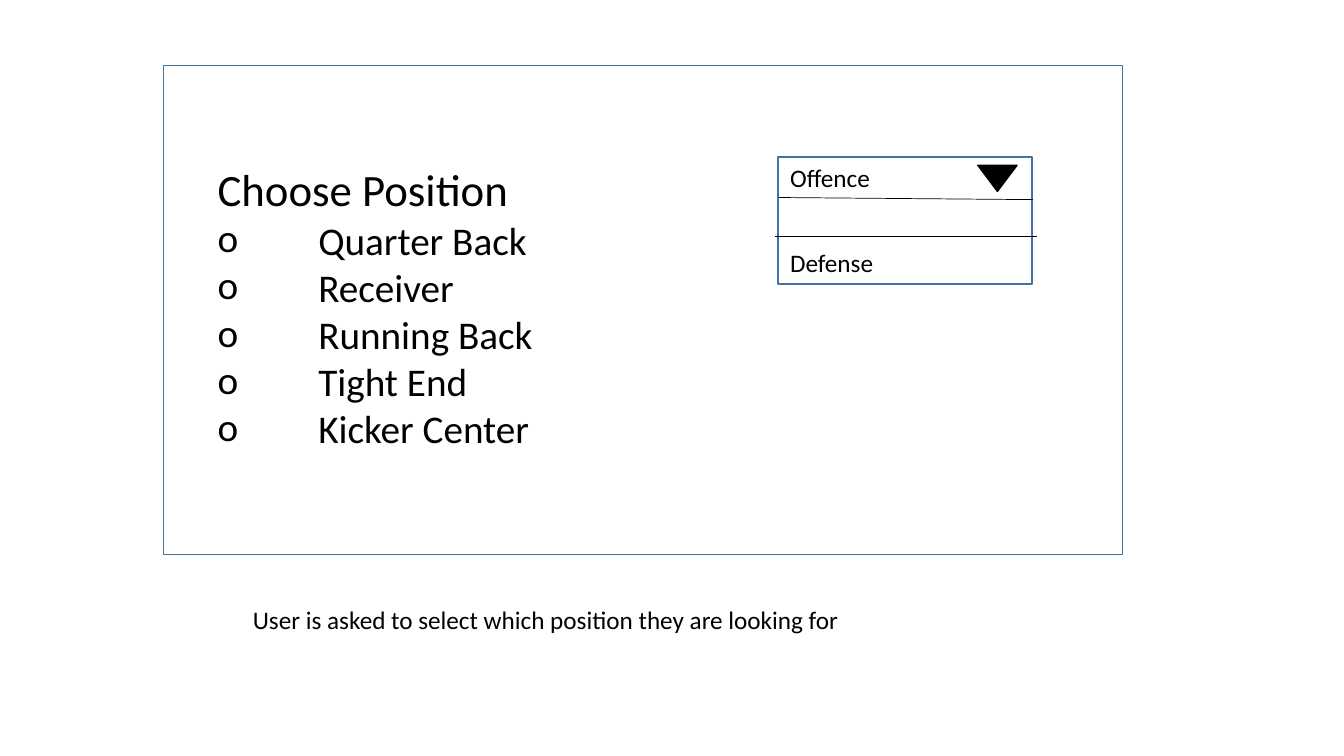
from lxml import etree
from pptx import Presentation
from pptx.dml.color import RGBColor
from pptx.enum import shapes, text
from pptx.oxml import ns
from pptx.util import Pt

COLORS = {"outline": "43739E", "ink": "000000"}
FONT = "Calibri"
POSITIONS = ["Quarter Back", "Receiver", "Running Back", "Tight End", "Kicker Center"]


def color(name):
    return RGBColor.from_string(COLORS[name])


def add_preset(slide, kind, box, line, fill=None):
    shape = slide.shapes.add_shape(kind, *map(Pt, box))
    shape.shadow.inherit = False
    if fill:
        shape.fill.solid()
        shape.fill.fore_color.rgb = color(fill)
    else:
        shape.fill.background()
    shape.line.color.rgb = color(line)
    shape.line.width = Pt(1)
    return shape


def add_divider(slide, start, end):
    divider = slide.shapes.add_connector(
        shapes.MSO_CONNECTOR.STRAIGHT, *map(Pt, start + end))
    divider.line.color.rgb = color("ink")
    divider.line.width = Pt(0.5)
    etree.SubElement(divider._element.spPr, ns.qn("a:effectLst"))


def add_text_frame(slide, box):
    frame = slide.shapes.add_textbox(*map(Pt, box)).text_frame
    frame.word_wrap = True
    frame.auto_size = text.MSO_AUTO_SIZE.SHAPE_TO_FIT_TEXT
    return frame


def write(paragraph, wording, size=18, bullet=None, indent=72):
    if bullet:
        props = paragraph._p.get_or_add_pPr()
        props.set("marL", str(Pt(indent)))
        props.set("indent", str(-Pt(indent)))
        etree.SubElement(props, ns.qn("a:buFont")).set("typeface", FONT)
        etree.SubElement(props, ns.qn("a:buChar")).set("char", bullet)
    run = paragraph.add_run()
    run.text = wording
    run.font.name = FONT
    run.font.size = Pt(size)
    run.font.color.rgb = color("ink")


def add_label(slide, box, wording):
    write(add_text_frame(slide, box).paragraphs[0], wording)


def add_dropdown(slide):
    rectangle = shapes.MSO_SHAPE.RECTANGLE
    add_preset(slide, rectangle, (555.8, 112.3, 181.4, 90.7), "outline")
    add_divider(slide, (556.6, 141.1), (738, 142.6))
    add_divider(slide, (553.7, 168.5), (740.9, 168.5))
    arrow = add_preset(slide, shapes.MSO_SHAPE.ISOSCELES_TRIANGLE,
                       (698.4, 118.1, 28.1, 18.7), "ink", fill="ink")
    arrow._element.spPr.xfrm.set("flipV", "1")
    add_label(slide, (557.3, 112.3, 123.8, 72.7), "Offence")
    add_label(slide, (557.3, 172.8, 141.1, 28.8), "Defense")


def add_position_list(slide):
    frame = add_text_frame(slide, (148.3, 112.3, 340.6, 237.6))
    write(frame.paragraphs[0], "Choose Position", size=32)
    for position in POSITIONS:
        write(frame.add_paragraph(), position, size=28, bullet="o")


def main():
    deck = Presentation()
    deck.slide_width, deck.slide_height = Pt(960), Pt(540)
    slide = deck.slides.add_slide(deck.slide_layouts[6])

    # Screen frame
    add_preset(slide, shapes.MSO_SHAPE.RECTANGLE, (116.6, 46.8, 685.4, 349.2), "outline")

    # Screen content
    add_dropdown(slide)
    add_position_list(slide)

    # Caption below the screen
    add_label(slide, (173.5, 428.4, 507.6, 28.8),
              "User is asked to select which position they are looking for")

    deck.save("out.pptx")


if __name__ == "__main__":
    main()
